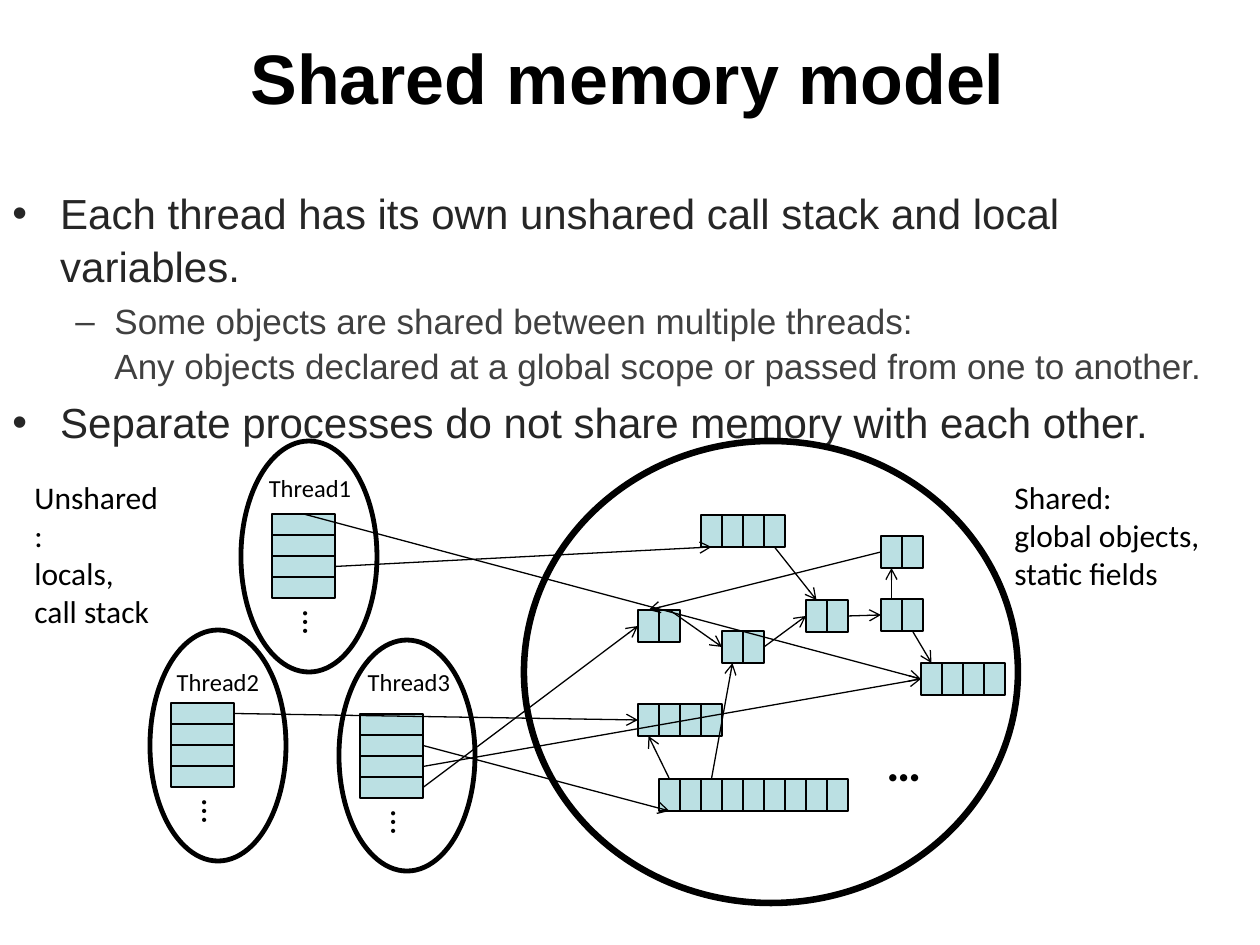
from dataclasses import dataclass

from lxml import etree
from pptx import Presentation
from pptx import util as u
from pptx.dml.color import RGBColor
from pptx.enum import shapes, text
from pptx.oxml.ns import qn

PX = 914400 / 126  # EMU per pixel
TOP, LEFT, BOTTOM, RIGHT = range(4)  # connection sites of a rectangle


@dataclass(frozen=True)
class Theme:
    ink: str = "000000"
    bullet_ink: str = "262626"
    sub_bullet_ink: str = "404040"
    cell: str = "BBE0E3"
    heading_font: str = "Arial"
    label_font: str = "Calibri"
    title_size: int = 40
    bullet_size: int = 24
    sub_bullet_size: int = 20
    note_size: int = 18
    thread_size: int = 14
    dots_size: int = 20
    big_dots_size: int = 28
    thin: float = 0.75
    thread_line: float = 2.75
    memory_line: float = 3.75


def emu(*lengths):
    return [u.Emu(round(length * PX)) for length in lengths]


def write(paragraph, content, *, font, size, color, bold=False, align=None):
    """Fill a paragraph and format all its runs; a newline is a line break."""
    paragraph.text = content
    paragraph.alignment = align
    for run in paragraph.runs:
        run.font.name = font
        run.font.size = u.Pt(size)
        run.font.bold = bold
        run.font.color.rgb = RGBColor.from_string(color)


class Drawing:
    def __init__(self, slide, theme):
        self.slide, self.theme = slide, theme

    def title(self, content, *box):
        shape = self.slide.shapes.title
        shape.left, shape.top, shape.width, shape.height = emu(*box)
        shape.text_frame.vertical_anchor = text.MSO_ANCHOR.MIDDLE
        write(shape.text_frame.paragraphs[0], content, font=self.theme.heading_font,
              size=self.theme.title_size, color=self.theme.ink, bold=True,
              align=text.PP_ALIGN.CENTER)

    def bullets(self, items, *box):
        theme = self.theme
        frame = self.slide.shapes.add_textbox(*emu(*box)).text_frame
        frame.word_wrap = True
        styles = [("•", 0.38, 0.38, theme.bullet_size, theme.bullet_ink),
                  ("–", 0.81, 0.31, theme.sub_bullet_size, theme.sub_bullet_ink)]
        for index, (level, content) in enumerate(items):
            mark, margin, hanging, size, color = styles[level]
            paragraph = frame.add_paragraph() if index else frame.paragraphs[0]
            paragraph.level = level
            paragraph.line_spacing = 1.05
            paragraph.space_before = u.Pt(size * 0.2 if index else 0)
            properties = paragraph._p.get_or_add_pPr()
            properties.set("marL", str(u.Inches(margin)))
            properties.set("indent", str(-u.Inches(hanging)))
            etree.SubElement(properties, qn("a:buFont"), typeface=theme.heading_font)
            etree.SubElement(properties, qn("a:buChar"), char=mark)
            write(paragraph, content, font=theme.heading_font, size=size, color=color)

    def label(self, lines, *box, size, rotation=0, **style):
        shape = self.slide.shapes.add_textbox(*emu(*box))
        shape.rotation = rotation
        frame = shape.text_frame
        frame.word_wrap = False
        for index, line in enumerate(lines):
            paragraph = frame.add_paragraph() if index else frame.paragraphs[0]
            write(paragraph, line, font=self.theme.label_font, size=size,
                  color=self.theme.ink, **style)

    def shape(self, kind, *box, width, fill=None):
        shape = self.slide.shapes.add_shape(kind, *emu(*box))
        shape.shadow.inherit = False
        if fill:
            shape.fill.solid()
            shape.fill.fore_color.rgb = RGBColor.from_string(fill)
        else:
            shape.fill.background()
        shape.line.color.rgb = RGBColor.from_string(self.theme.ink)
        shape.line.width = u.Pt(width)
        return shape

    def ellipse(self, *box, width):
        return self.shape(shapes.MSO_SHAPE.OVAL, *box, width=width)

    def cells(self, left, top, count, width, height, down=False):
        """A run of touching cells, across or down."""
        step_x, step_y = (0, height) if down else (width, 0)
        return [self.shape(shapes.MSO_SHAPE.RECTANGLE, left + i * step_x, top + i * step_y,
                           width, height, width=self.theme.thin, fill=self.theme.cell)
                for i in range(count)]

    def thread(self, name, oval, stack, label):
        theme = self.theme
        self.ellipse(*oval, 136, 231, width=theme.thread_line)
        rows = self.cells(*stack, 4, 63, 21, down=True)
        self.label([name], *label, 108, 42, size=theme.thread_size,
                   align=text.PP_ALIGN.CENTER)
        left, top = stack
        self.label(["…"], left + 21, top + 82, 49, 54, size=theme.dots_size, rotation=90)
        return rows

    def arrow(self, start, start_site, end, end_site):
        line = self.slide.shapes.add_connector(shapes.MSO_CONNECTOR.STRAIGHT, 0, 0, 0, 0)
        line.begin_connect(start, start_site)
        line.end_connect(end, end_site)
        line.line.color.rgb = RGBColor.from_string(self.theme.ink)
        line.line.width = u.Pt(self.theme.thin)
        etree.SubElement(line.line._get_or_add_ln(), qn("a:tailEnd"), type="arrow")
        etree.SubElement(line._element.spPr, qn("a:effectLst"))


def main():
    presentation = Presentation()
    presentation.slide_width, presentation.slide_height = emu(1260, 945)
    slide = presentation.slides.add_slide(presentation.slide_layouts[5])
    theme = Theme()
    drawing = Drawing(slide, theme)

    # Title and bullets
    drawing.title("Shared memory model", 24, 14, 1207, 125)
    drawing.bullets([
        (0, "Each thread has its own unshared call stack and local variables."),
        (1, "Some objects are shared between multiple threads:\n"
            "Any objects declared at a global scope or passed from one to another."),
        (0, "Separate processes do not share memory with each other."),
    ], 0, 179, 1260, 766)

    # Shared memory: objects made of cells (left, top, number of cells)
    drawing.ellipse(524, 441, 494, 462, width=theme.memory_line)
    places = {
        "left": (638, 610, 2), "lower": (638, 704, 4), "middle": (722, 631, 2),
        "right": (806, 600, 2), "upper": (701, 515, 4), "far": (921, 663, 4),
        "long": (659, 779, 9), "link": (881, 599, 2), "peak": (881, 536, 2),
    }
    cells = {name: drawing.cells(*place, 21, 32) for name, place in places.items()}
    drawing.label(["…"], 874, 726, 60, 72, size=theme.big_dots_size, bold=True)

    # Threads with their own call stacks
    for name, oval, stack, label in [
        ("Thread1", (241, 441), (272, 514), (256, 467)),
        ("Thread2", (150, 630), (171, 703), (164, 661)),
        ("Thread3", (339, 640), (360, 714), (355, 661)),
    ]:
        cells[name] = drawing.thread(name, oval, stack, label)

    # References: from (owner, cell, side) to (owner, cell, side)
    for start, i, start_site, end, j, end_site in [
        ("upper", 3, BOTTOM, "right", 0, TOP),
        ("left", 1, TOP, "middle", 0, LEFT),
        ("middle", 1, RIGHT, "right", 0, LEFT),
        ("long", 0, TOP, "lower", 0, BOTTOM),
        ("long", 2, TOP, "middle", 0, BOTTOM),
        ("right", 1, RIGHT, "link", 0, LEFT),
        ("link", 0, TOP, "peak", 0, BOTTOM),
        ("peak", 0, LEFT, "left", 0, TOP),
        ("link", 1, BOTTOM, "far", 0, TOP),
        ("Thread1", 0, TOP, "far", 0, LEFT),
        ("Thread1", 2, RIGHT, "upper", 0, BOTTOM),
        ("Thread2", 0, RIGHT, "lower", 0, LEFT),
        ("Thread3", 1, RIGHT, "long", 0, BOTTOM),
        ("Thread3", 3, RIGHT, "left", 0, LEFT),
        ("Thread3", 2, RIGHT, "far", 0, LEFT),
    ]:
        drawing.arrow(cells[start][i], start_site, cells[end][j], end_site)

    # Side notes
    drawing.label(["Unshared:", "locals,", "call stack"], 22, 472, 156, 126,
                  size=theme.note_size)
    drawing.label(["Shared:", "global objects,", "static fields"], 1002, 472, 210, 126,
                  size=theme.note_size)

    presentation.save("out.pptx")


if __name__ == "__main__":
    main()
